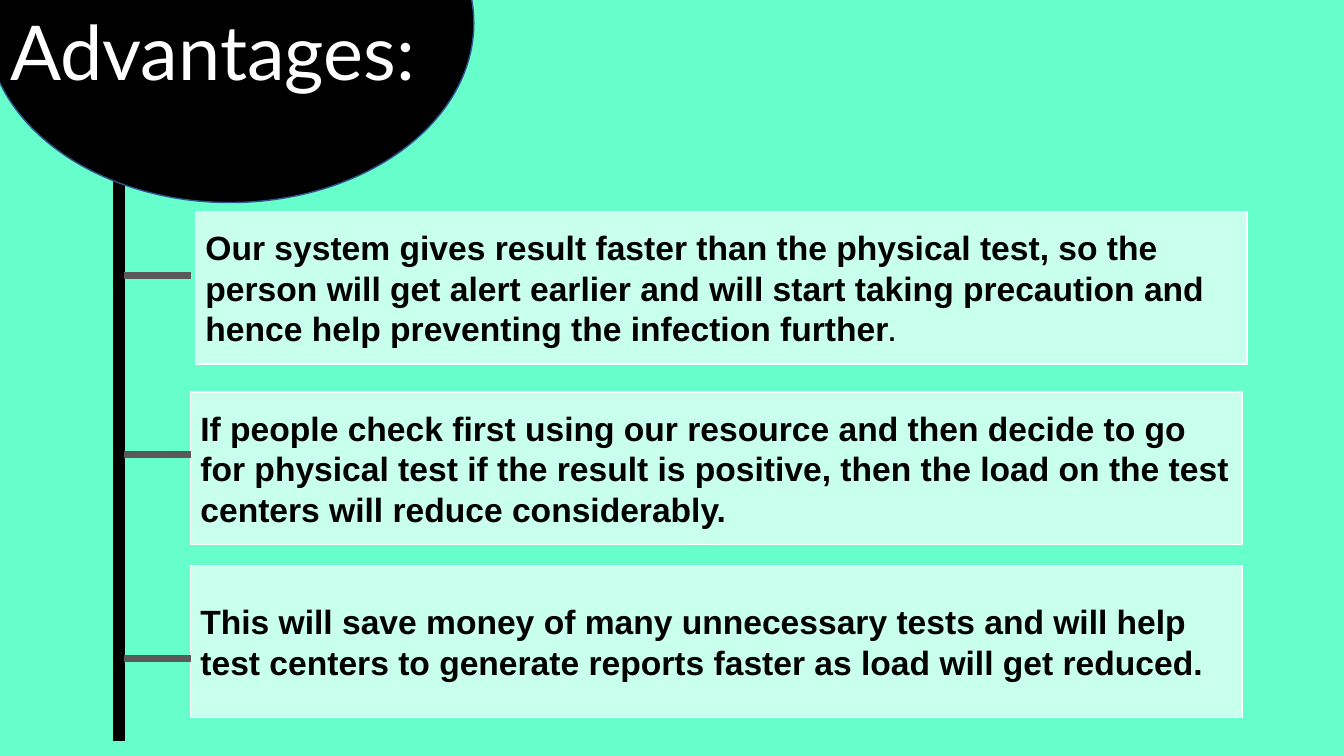
import dataclasses

import lxml.etree
import pptx
import pptx.dml.color
import pptx.enum.shapes
import pptx.enum.text
import pptx.oxml.ns
import pptx.util

Pt = pptx.util.Pt
qn = pptx.oxml.ns.qn


@dataclasses.dataclass(frozen=True)
class Theme:
    background: str = "66FFCC"
    dark: str = "000000"
    light: str = "FFFFFF"
    branch: str = "595959"
    outline: str = "325491"
    title_font: str = "Lato"
    body_font: str = "Arial"
    title_size: float = 54
    body_size: float = 24
    stop_size: float = 18
    card_opacity: int = 65


THEME = Theme()
TITLE = "Advantages:"
SLIDE_SIZE = (960, 540)
TITLE_BOX = (0, 0, 314, 72.7)
ELLIPSE_BOX = (-10, -111.6, 348.5, 256.3)
CARD_SIZE = (751, 108.7)
SPINE_X = 85
SPINE_SPAN = (98, 529)
BRANCH_SPAN = (88.6, 136.1)
CARDS = [
    (139.7, 151.2, 45.4, [
        ("Our system gives result faster than the physical test, so the person will get alert "
         "earlier and will start taking precaution and hence help preventing the infection further",
         THEME.body_size),
        (".", THEME.stop_size),
    ]),
    (136.1, 280.1, 44.6, [
        ("If people check first using our resource and then decide to go for physical test if the "
         "result is positive, then the load on the test centers will reduce considerably.",
         THEME.body_size),
    ]),
    (136.1, 403.9, 66.3, [
        ("This will save money of many unnecessary tests and will help test centers to generate "
         "reports faster as load will get reduced.", THEME.body_size),
    ]),
]


def rgb(color):
    return pptx.dml.color.RGBColor.from_string(color)


def add_text(paragraph, text, *, size, font, color, bold=False):
    run = paragraph.add_run()
    run.text = text
    run.font.size = Pt(size)
    run.font.name = font
    run.font.bold = bold
    run.font.color.rgb = rgb(color)


def prepare_frame(shape, anchor):
    frame = shape.text_frame
    frame.word_wrap = True
    frame.auto_size = pptx.enum.text.MSO_AUTO_SIZE.NONE
    frame.vertical_anchor = anchor
    frame.margin_left = frame.margin_right = Pt(7.2)
    frame.margin_top = frame.margin_bottom = Pt(3.6)
    paragraph = frame.paragraphs[0]
    paragraph.alignment = pptx.enum.text.PP_ALIGN.LEFT
    paragraph.line_spacing = 1.0
    return paragraph


def add_panel(slide, kind, box, fill, line):
    shape = slide.shapes.add_shape(kind, *map(Pt, box))
    shape.shadow.inherit = False
    shape.fill.solid()
    shape.fill.fore_color.rgb = rgb(fill)
    shape.line.color.rgb = rgb(line)
    shape.line.width = Pt(1)
    return shape


def add_line(slide, start, end, color, width):
    connector = slide.shapes.add_connector(
        pptx.enum.shapes.MSO_CONNECTOR.STRAIGHT, *map(Pt, (*start, *end)))
    connector.line.color.rgb = rgb(color)
    connector.line.width = Pt(width)
    lxml.etree.SubElement(connector._element.spPr, qn("a:effectLst"))


def add_card(slide, box, runs):
    card = add_panel(slide, pptx.enum.shapes.MSO_SHAPE.RECTANGLE, box, THEME.light, THEME.light)
    color = card._element.spPr.find(qn("a:solidFill"))[0]
    lxml.etree.SubElement(color, qn("a:alpha"), val=str(THEME.card_opacity * 1000))
    paragraph = prepare_frame(card, pptx.enum.text.MSO_ANCHOR.MIDDLE)
    for text, size in runs:
        add_text(paragraph, text, size=size, font=THEME.body_font, color=THEME.dark, bold=True)


def add_heading(slide, ellipse_box, title_box):
    add_panel(slide, pptx.enum.shapes.MSO_SHAPE.OVAL, ellipse_box, THEME.dark, THEME.outline)
    title = slide.shapes.title
    title.left, title.top, title.width, title.height = map(Pt, title_box)
    paragraph = prepare_frame(title, pptx.enum.text.MSO_ANCHOR.TOP)
    add_text(paragraph, TITLE, size=THEME.title_size, font=THEME.title_font, color=THEME.light)
    slide.shapes._spTree.append(title._element)


def add_advantages(slide):
    top, bottom = SPINE_SPAN
    add_line(slide, (SPINE_X, top), (SPINE_X, bottom), THEME.dark, 9)
    start, end = BRANCH_SPAN
    for left, top, branch_offset, runs in CARDS:
        add_card(slide, (left, top, *CARD_SIZE), runs)
        branch_y = top + branch_offset
        add_line(slide, (start, branch_y), (end, branch_y), THEME.branch, 5.25)


def main():
    presentation = pptx.Presentation()
    presentation.slide_width, presentation.slide_height = map(Pt, SLIDE_SIZE)
    slide = presentation.slides.add_slide(presentation.slide_layouts[5])
    slide.background.fill.solid()
    slide.background.fill.fore_color.rgb = rgb(THEME.background)
    add_advantages(slide)
    add_heading(slide, ELLIPSE_BOX, TITLE_BOX)
    presentation.save("out.pptx")


if __name__ == "__main__":
    main()
